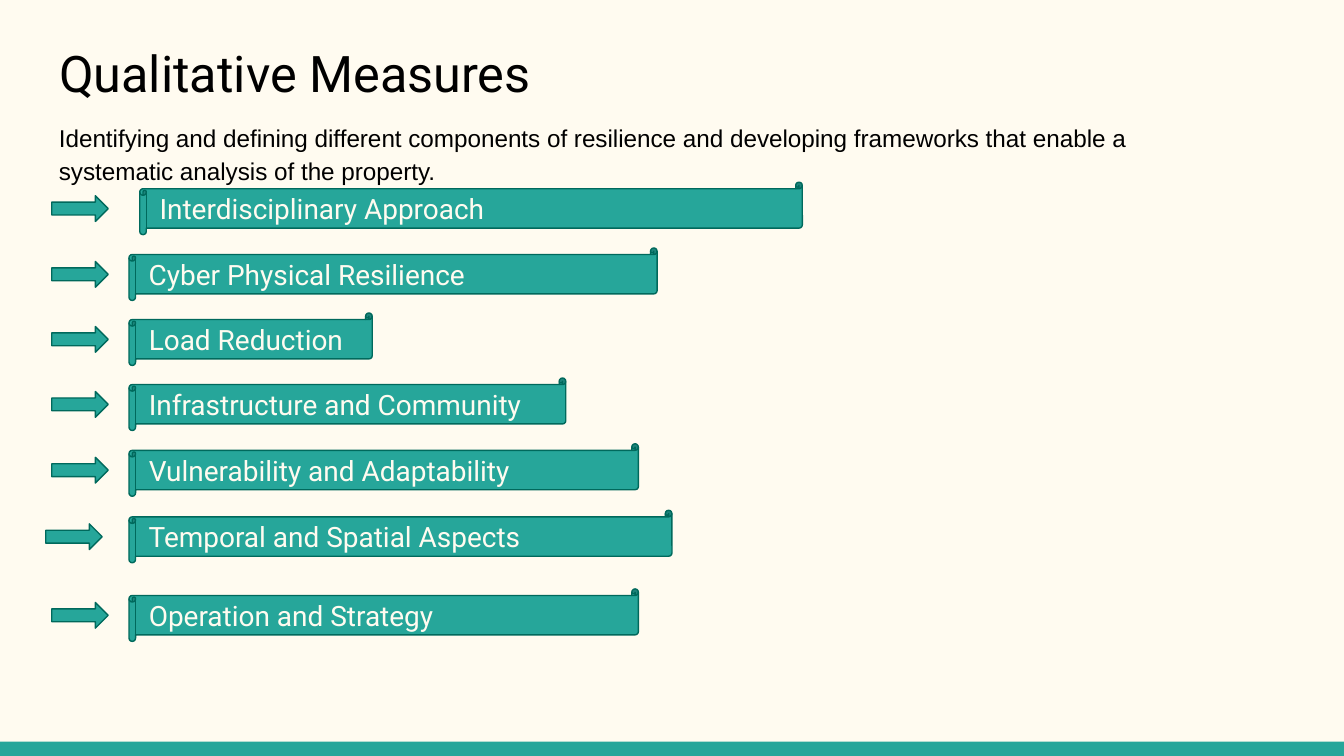
from pptx import Presentation
from pptx import util as u
from pptx.dml.color import RGBColor
from pptx.enum import shapes, text

CREAM, TEAL, DARK_TEAL, BLACK = "FFFBF0", "26A69A", "00695C", "000000"
COLS = ROWS = 100
ARROW_COL, ARROW_DROP = 3.85, 1.8

# label, left column, top row, width in columns, shift of the arrow
MEASURES = [
    ("Interdisciplinary Approach", 10.4, 24.1, 49.3, 0),
    ("Cyber Physical Resilience", 9.6, 32.8, 39.3, 0),
    ("Load Reduction", 9.6, 41.4, 18.1, 0),
    ("Infrastructure and Community", 9.6, 50, 32.5, 0),
    ("Vulnerability and Adaptability", 9.6, 58.7, 37.9, 0),
    ("Temporal and Spatial Aspects", 9.6, 67.5, 40.4, -0.45),
    ("Operation and Strategy", 9.6, 77.9, 37.9, 0),
]


def color(value):
    return RGBColor.from_string(value)


def write(sp, words, size, font, ink, anchor=text.MSO_ANCHOR.TOP,
          spacing=None, after=None):
    tf = sp.text_frame
    tf.word_wrap = True
    tf.auto_size = text.MSO_AUTO_SIZE.NONE
    tf.vertical_anchor = anchor
    tf.margin_left = tf.margin_right = u.Inches(0.1)
    tf.margin_top = tf.margin_bottom = u.Inches(0.1)
    p = tf.paragraphs[0]
    p.alignment = text.PP_ALIGN.LEFT
    p.line_spacing = spacing
    p.space_after = after
    r = p.add_run()
    r.text = words
    r.font.size = u.Pt(size)
    r.font.name = font
    r.font.color.rgb = color(ink)


class Deck:
    def __init__(self):
        self.prs = Presentation()
        self.prs.slide_width = u.Inches(10)
        self.prs.slide_height = u.Inches(10 * 9 / 16)
        self.s = self.prs.slides.add_slide(self.prs.slide_layouts[5])
        fill = self.s.background.fill
        fill.solid()
        fill.fore_color.rgb = color(CREAM)

    def box(self, col, row, cols, rows):
        """Turn grid columns and rows into left, top, width and height."""
        x = self.prs.slide_width / COLS
        y = self.prs.slide_height / ROWS
        return [round(n) for n in (col * x, row * y, cols * x, rows * y)]

    def title(self, words, *area):
        sp = self.s.shapes.title
        sp.left, sp.top, sp.width, sp.height = self.box(*area)
        write(sp, words, 27, "Roboto", BLACK)

    def paragraph(self, words, *area):
        sp = self.s.shapes.add_textbox(*self.box(*area))
        write(sp, words, 13, "Arial", BLACK, spacing=1.15, after=u.Pt(12))

    def shape(self, kind, *area, outline=DARK_TEAL):
        sp = self.s.shapes.add_shape(kind, *self.box(*area))
        sp.shadow.inherit = False
        sp.fill.solid()
        sp.fill.fore_color.rgb = color(TEAL)
        if outline:
            sp.line.color.rgb = color(outline)
            sp.line.width = u.Pt(0.75)
        else:
            sp.line.fill.background()
        return sp

    def arrow(self, col, row):
        self.shape(shapes.MSO_SHAPE.RIGHT_ARROW, col, row, 4.2, 3.4)

    def scroll(self, words, col, row, cols):
        sp = self.shape(shapes.MSO_SHAPE.HORIZONTAL_SCROLL, col, row, cols, 6.95)
        write(sp, words, 15, "Roboto", CREAM, anchor=text.MSO_ANCHOR.MIDDLE)


def main():
    deck = Deck()
    deck.shape(shapes.MSO_SHAPE.RECTANGLE, 0, 98.1, COLS, 1.9, outline=None)
    deck.title("Qualitative Measures", 3.4, 3.8, 93.2, 11.9)
    for words, col, row, cols, shift in MEASURES:
        deck.arrow(ARROW_COL + shift, row + ARROW_DROP)
        deck.scroll(words, col, row, cols)
    deck.paragraph(
        "Identifying and defining different components of resilience and developing "
        "frameworks that enable a systematic analysis of the property.",
        3.4, 13.9, 85, 11.9)
    deck.prs.save("out.pptx")


if __name__ == "__main__":
    main()
